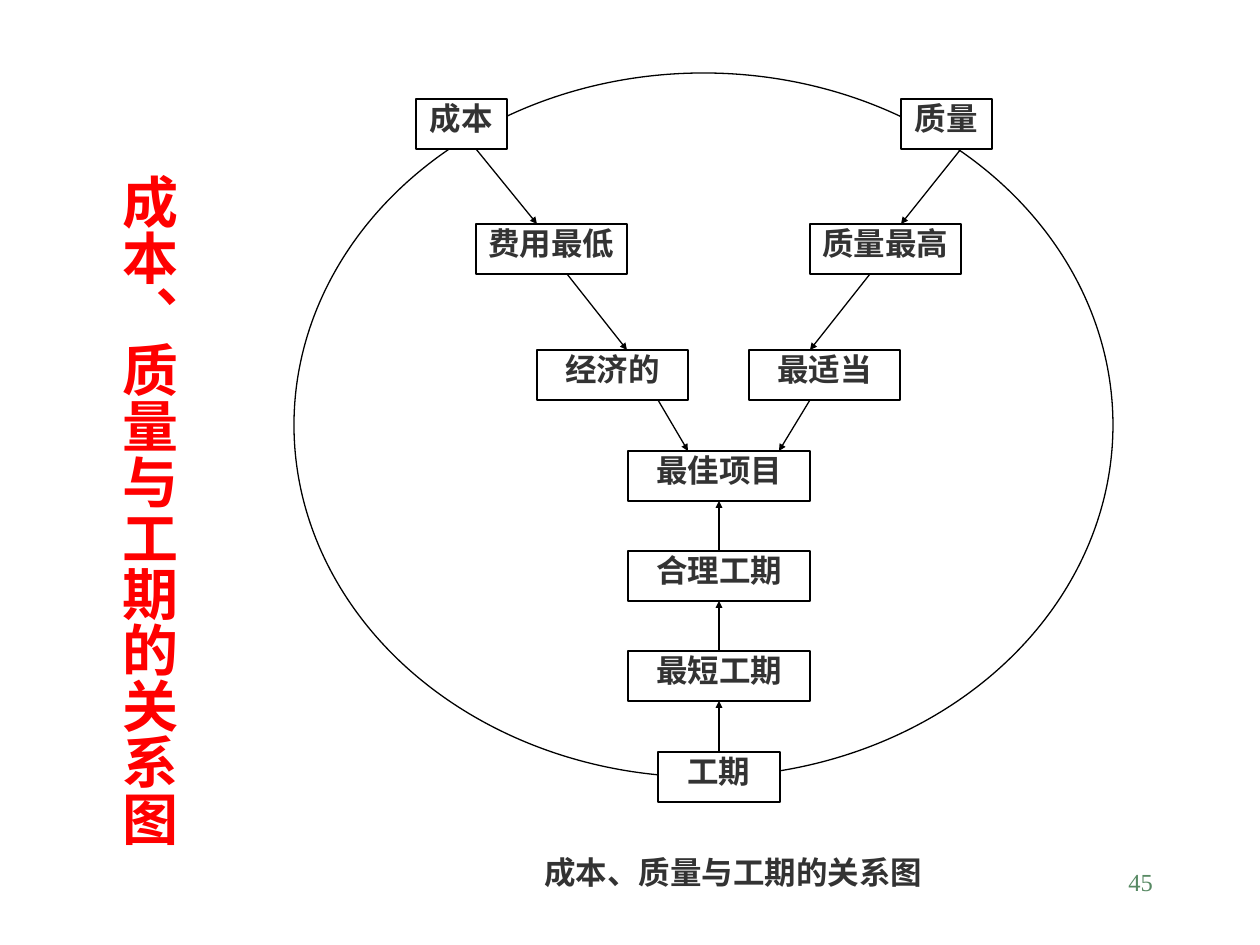
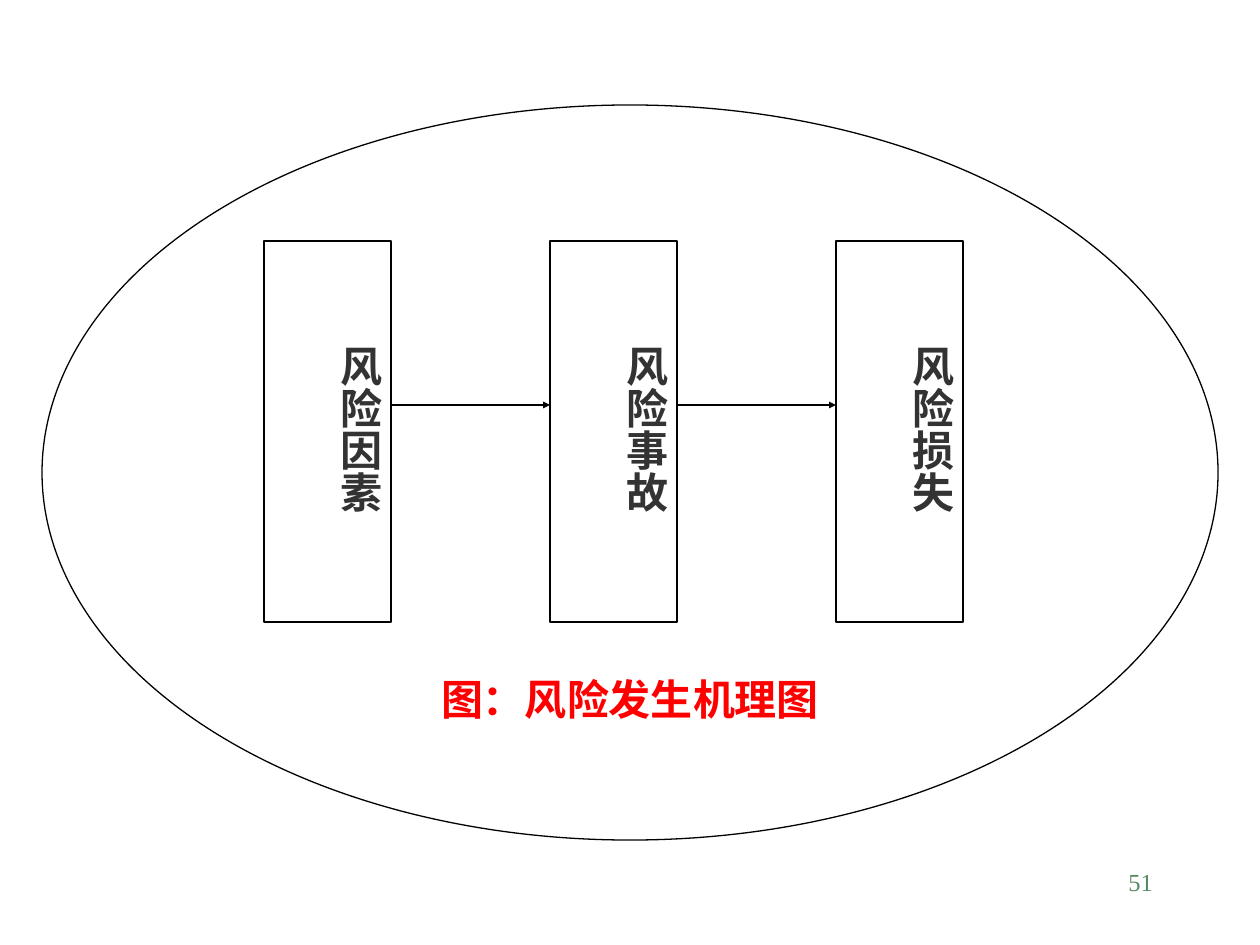
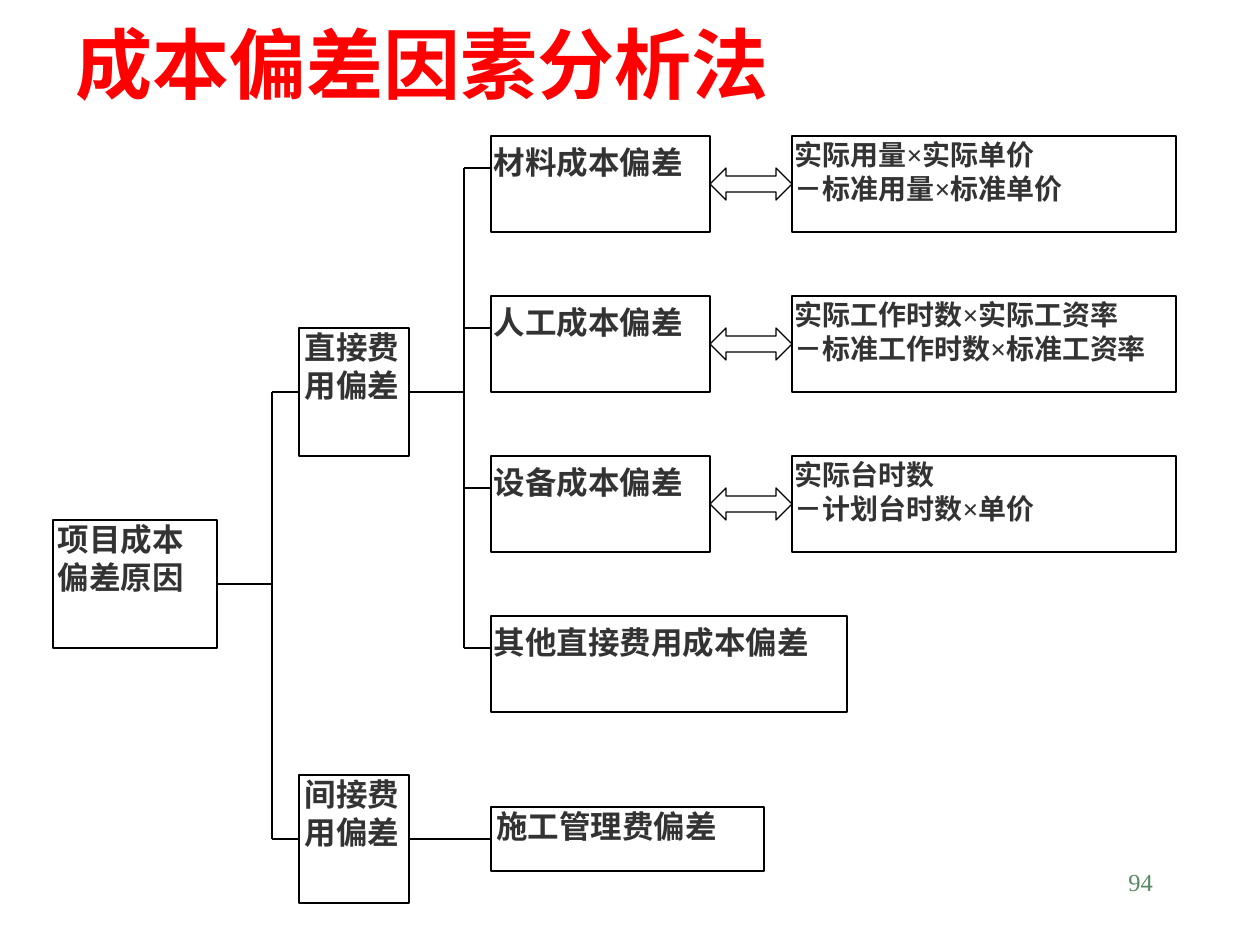
"""Build three slides on cost, quality, schedule and risk."""
from pptx import Presentation
from pptx.dml.color import RGBColor
from pptx.enum.shapes import MSO_CONNECTOR as Link, MSO_SHAPE as Kind
from pptx.enum.text import MSO_ANCHOR as Anchor, MSO_AUTO_SIZE as Fit, PP_ALIGN as Align
from pptx.oxml.ns import qn
from pptx.util import Emu, Pt
from lxml.etree import SubElement

WHITE = RGBColor(0xFF, 0xFF, 0xFF)
BLACK = RGBColor(0, 0, 0)
GRAY = RGBColor(0x33, 0x33, 0x33)
RED = RGBColor(0xFF, 0, 0)
GREEN = RGBColor(0x57, 0x89, 0x63)
FONT = "Times New Roman"
PX = 914400 / 126


def box(slide, text, rect, size=18, pad=(0, 0, 0, 0), align=Align.CENTER,
        ink=GRAY, kind=Kind.RECTANGLE, bold=True):
    place = [Emu(round(n * PX)) for n in rect]
    if kind is None:
        shape = slide.shapes.add_textbox(*place)
    else:
        shape = slide.shapes.add_shape(kind, *place)
        shape.shadow.inherit = False
        shape.fill.solid()
        shape.fill.fore_color.rgb = WHITE
        shape.line.color.rgb = BLACK
        shape.line.width = Pt(0.75)
    if text:
        frame = shape.text_frame
        frame.word_wrap = True
        frame.vertical_anchor = Anchor.TOP
        (frame.margin_left, frame.margin_top, frame.margin_right,
         frame.margin_bottom) = [Emu(round(n * PX)) for n in pad]
        frame.text = text
        for para in frame.paragraphs:
            para.alignment = align
            para.font.name = FONT
            para.font.size = Pt(size)
            para.font.bold = bold
            para.font.color.rgb = ink
    return shape


def line(slide, ax, ay, bx, by, head=False):
    link = slide.shapes.add_connector(
        Link.STRAIGHT, *[Emu(round(n * PX)) for n in (ax, ay, bx, by)])
    link.line.color.rgb = BLACK
    link.line.width = Pt(0.75)
    props = link._element.spPr
    if head:
        SubElement(props.find(qn("a:ln")), qn("a:tailEnd"),
                   type="triangle", w="sm", len="sm")
    SubElement(props, qn("a:effectLst"))
    return link


deck = Presentation()
deck.slide_width = Emu(round(1260 * PX))
deck.slide_height = Emu(round(945 * PX))
cycle, risk, tree = [deck.slides.add_slide(deck.slide_layouts[6]) for _ in range(3)]

box(cycle, "", (294, 73, 819, 704), kind=Kind.OVAL)
for text, x, y, w in [
    ("成本", 416, 99, 91), ("质量", 901, 99, 91),
    ("费用最低", 476, 224, 151), ("质量最高", 810, 224, 151),
    ("经济的", 537, 350, 151), ("最适当", 749, 350, 151),
]:
    box(cycle, text, (x, y, w, 50))
stack = []
for row, (text, w) in enumerate([
    ("最佳项目", 182), ("合理工期", 182), ("最短工期", 182), ("工期", 122),
]):
    stack.append(box(cycle, text, (719 - w // 2, 451 + 301 * row // 3, w, 50)))
for ax, ay, bx, by in [
    (476, 149, 537, 224), (567, 274, 627, 350), (658, 400, 688, 451),
    (961, 149, 901, 224), (870, 274, 810, 350), (810, 400, 779, 451),
]:
    line(cycle, ax, ay, bx, by, True)
for upper, lower in zip(stack, stack[1:]):
    link = line(cycle, 719, 551, 719, 501, True)
    link.begin_connect(lower, 0)
    link.end_connect(upper, 2)
name = "成本、质量与工期的关系图"
box(cycle, name, (506, 853, 455, 50), kind=None)
side = box(cycle, name, (96, 168, 92, 685), 32, (6, 6, 6, 6), Align.LEFT, RED, None)
side.text_frame.word_wrap = False
side.text_frame.auto_size = Fit.SHAPE_TO_FIT_TEXT
side.text_frame.vertical_anchor = None
side.text_frame._txBody.bodyPr.set("vert", "eaVert")

oval = box(risk, "图：风险发生机理图", (42, 105, 1176, 735), 24, (13, 6, 13, 9),
           ink=RED, kind=Kind.OVAL)
oval.text_frame.vertical_anchor = Anchor.BOTTOM
for col, text in enumerate(["风险因素", "风险事故", "风险损失"]):
    x = 264 + 286 * col
    step = box(risk, text, (x, 241, 127, 381), 24, (6, 105, 6, 105))
    step.text_frame.vertical_anchor = None
    step.text_frame._txBody.bodyPr.set("vert", "eaVert")
    if col:
        line(risk, x - 159, 405, x, 405, True)

tight = (5, 0, 0, 0)
root = box(tree, "项目成本\n偏差原因", (53, 520, 164, 128), 18, tight, Align.JUSTIFY)
direct = box(tree, "直接费\n用偏差", (299, 328, 110, 128), 18, (6, 0, 0, 0), Align.JUSTIFY)
other = box(tree, "间接费\n用偏差", (299, 775, 110, 128), 18, (6, 0, 0, 0), Align.JUSTIFY)
admin = box(tree, "施工管理费偏差", (491, 807, 273, 64), 18, tight, Align.JUSTIFY)
for row, (item, sums) in enumerate([
    ("材料成本偏差", "实际用量×实际单价\n－标准用量×标准单价"),
    ("人工成本偏差", "实际工作时数×实际工资率\n－标准工作时数×标准工资率"),
    ("设备成本偏差", "实际台时数\n－计划台时数×单价"),
    ("其他直接费用成本偏差", ""),
]):
    y = 136 + 160 * row
    box(tree, item, (491, y, 219 if sums else 356, 96), 18, (3, 7, 3, 1), Align.JUSTIFY)
    line(tree, 464, y + 32, 491, y + 32)
    if sums:
        box(tree, sums, (792, y, 384, 96), 16, (3, 2, 3, 1), Align.JUSTIFY)
        box(tree, "", (710, y + 32, 82, 32), kind=Kind.LEFT_RIGHT_ARROW)
line(tree, 464, 168, 464, 648)
line(tree, 272, 392, 272, 839)
line(tree, 217, 584, 272, 584).begin_connect(root, 3)
line(tree, 409, 392, 464, 392).begin_connect(direct, 3)
line(tree, 272, 392, 299, 392).end_connect(direct, 1)
line(tree, 272, 839, 299, 839).end_connect(other, 1)
link = line(tree, 409, 839, 491, 839)
link.begin_connect(other, 3)
link.end_connect(admin, 1)
title = box(tree, "成本偏差因素分析法", (63, 21, 1155, 84), 44, (13, 6, 13, 6),
            Align.LEFT, RED, None)
title.text_frame.vertical_anchor = Anchor.MIDDLE

for slide, page in [(cycle, "45"), (risk, "51"), (tree, "94")]:
    box(slide, page, (904, 861, 262, 63), 14, (13, 6, 13, 6), Align.RIGHT,
        GREEN, None, False)

deck.save("out.pptx")
